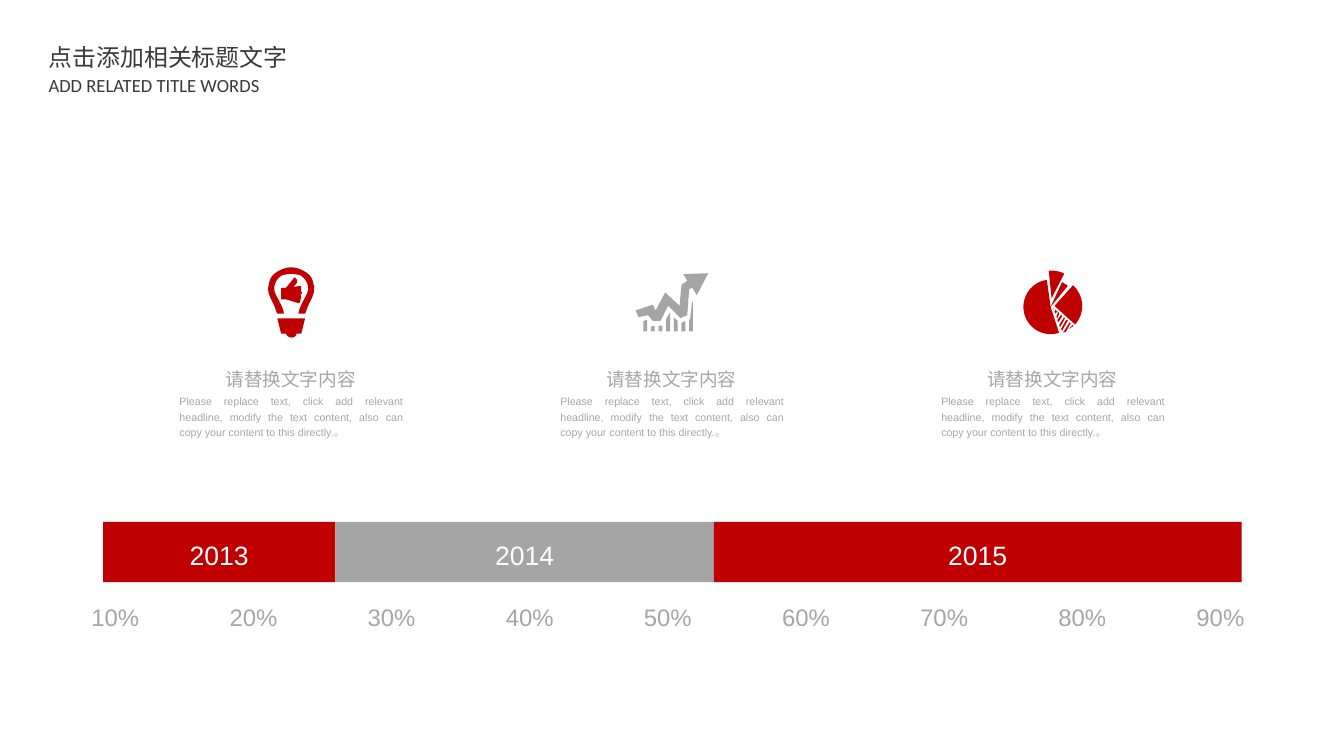
import math
from dataclasses import dataclass

import lxml.etree
import pptx
import pptx.dml.color
import pptx.enum.shapes
import pptx.enum.text
import pptx.oxml.ns
import pptx.util

Cm = pptx.util.Cm
Align = pptx.enum.text.PP_ALIGN
Point = tuple[float, float]
Outline = list[Point]

COLORS = {"red": "C00000", "grey": "A5A5A5", "text": "A6A6A6", "title": "3B3838", "white": "FFFFFF"}
CJK_FONT = "Noto Sans CJK SC"
COLUMN_STEP = 10.12
HEADING = "请替换文字内容"
BODY = ("Please replace text, click add relevant headline, modify the text content, "
        "also can copy your content to this directly.。")


@dataclass
class Label:
    text: str
    left: float
    top: float
    width: float
    height: float
    size: float
    color: str = "text"
    font: str = "Arial"
    align: Align = Align.JUSTIFY
    spacing: float = 1.2
    wrap: bool = False


@dataclass
class YearBar:
    year: str
    width: float
    color: str


@dataclass
class Icon:
    left: float
    top: float
    color: str
    outlines: list[Outline]


def bezier(start: Point, *segments: tuple[Point, Point, Point], steps: int = 8) -> Outline:
    """Return points along a chain of cubic curves."""
    points = [start]
    for first, second, end in segments:
        origin = points[-1]
        for step in range(1, steps + 1):
            t = step / steps
            weights = ((1 - t) ** 3, 3 * t * (1 - t) ** 2, 3 * t * t * (1 - t), t ** 3)
            controls = (origin, first, second, end)
            points.append((sum(w * p[0] for w, p in zip(weights, controls)),
                           sum(w * p[1] for w, p in zip(weights, controls))))
    return points


def sector(apex: Point, radius: float, start: float, end: float, steps: int = 36) -> Outline:
    """Return a pie slice, with angles in degrees clockwise from the right."""
    angles = [math.radians(start + (end - start) * i / steps) for i in range(steps + 1)]
    return [apex] + [(apex[0] + radius * math.cos(a), apex[1] + radius * math.sin(a)) for a in angles]


def mirror(points: Outline, axis: float) -> Outline:
    return [(2 * axis - x, y) for x, y in points]


def bulb_outlines() -> list[Outline]:
    axis = 25.5
    outer = bezier((11, 49), ((9, 45), (8, 40), (6, 37)), ((3, 31), (0, 25), (2, 19)),
                   ((3, 11), (7, 7), (13, 4)), ((17, 2), (21, 0.5), (axis, 0.5)))
    inner = bezier((18, 49), ((17, 43), (14, 38), (12, 34)), ((9, 29), (7, 24), (8, 20)),
                   ((9, 15), (12, 11), (16, 9)), ((19, 8), (22, 7.5), (axis, 7.5)))
    glass = outer + mirror(outer, axis)[::-1] + mirror(inner, axis) + inner[::-1]
    base = [(15, 70), (11, 54), (40, 54), (36, 70)]
    base += bezier((31, 70), ((31, 72), (29, 74), (26, 74)), ((23, 74), (21, 72), (20, 70)))
    thumb = [(36, 20), (36, 26), (37, 27), (36, 29), (35, 29), (36, 31), (36, 33), (35, 34),
             (35, 37), (33, 38), (20, 34), (15, 34), (15, 22), (20, 22), (29, 11)]
    thumb += bezier((29, 11), ((35, 15), (30, 19), (27, 21)))
    return [glass, base, thumb]


def trend_outlines() -> list[Outline]:
    arrow = [(76, 0), (64, 23), (59, 15), (56, 17), (54, 44), (47, 47), (34, 34), (26, 50),
             (18, 50), (13, 44), (3, 46), (0, 39), (18, 33), (21, 39), (31, 20), (35, 24),
             (46, 34), (48, 12), (54, 8), (50, 1)]
    bar_tops = [(50, 49), (56, 55), (55, 55), (48, 41), (46, 50), (52, 50)]
    bars = []
    for index, (left_top, right_top) in enumerate(bar_tops):
        left = 8 + 8 * index
        bars.append([(left, 61), (left, left_top), (left + 4, right_top), (left + 4, 61)])
    last_bar = [(56, 61), (56, 49), (57, 48), (59, 30), (60, 30), (60, 61)]
    return [arrow, *bars, last_bar]


def pie_outlines() -> list[Outline]:
    center = (29, 38)
    stripes = [
        [(53, 58), (48, 61), (52, 57)],
        [(45, 64), (50, 55), (49, 54), (42, 65)],
        [(41, 63), (47, 52), (45, 52), (40, 61)],
        [(39, 59), (44, 50), (43, 49), (38, 57)],
        [(37, 54), (41, 48), (40, 46), (36, 52)],
        [(36, 50), (38, 45), (37, 43), (35, 48)],
        [(34, 45), (36, 43), (34, 41), (33, 43)],
        [(32, 41), (32, 39), (33, 40)],
    ]
    return [sector(center, 28.5, 72, 262), [center, (41, 12), (47, 16)],
            sector((33, 37), 29, -48, 42), sector((30, 29), 29, -96, -63), *stripes]


def write_text(shape, label: Label) -> None:
    paragraph = shape.text_frame.paragraphs[0]
    run = paragraph.add_run()
    run.text = label.text
    run.font.color.rgb = pptx.dml.color.RGBColor.from_string(COLORS[label.color])
    formats = {
        paragraph: {"alignment": label.align, "line_spacing": label.spacing},
        run.font: {"size": pptx.util.Pt(label.size), "name": label.font},
    }
    for target, values in formats.items():
        for name, value in values.items():
            setattr(target, name, value)
    east_asian = lxml.etree.SubElement(run.font._element, pptx.oxml.ns.qn("a:ea"))
    east_asian.set("typeface", CJK_FONT)


def add_label(slide, label: Label) -> None:
    shape = slide.shapes.add_textbox(Cm(label.left), Cm(label.top), Cm(label.width), Cm(label.height))
    frame_format = {"word_wrap": label.wrap,
                    "auto_size": pptx.enum.text.MSO_AUTO_SIZE.SHAPE_TO_FIT_TEXT}
    for name, value in frame_format.items():
        setattr(shape.text_frame, name, value)
    write_text(shape, label)


def paint(shape, color: str) -> None:
    shape.shadow.inherit = False
    shape.fill.solid()
    shape.fill.fore_color.rgb = pptx.dml.color.RGBColor.from_string(COLORS[color])
    shape.line.fill.background()


def add_year_bar(slide, bar: YearBar, left: float) -> None:
    top, height = 13.87, 1.6
    shape = slide.shapes.add_shape(pptx.enum.shapes.MSO_SHAPE.RECTANGLE,
                                   Cm(left), Cm(top), Cm(bar.width), Cm(height))
    paint(shape, bar.color)
    shape.text_frame.vertical_anchor = pptx.enum.text.MSO_ANCHOR.MIDDLE
    write_text(shape, Label(bar.year, left, top, bar.width, height, 20, "white", align=Align.CENTER))


def add_icon(slide, icon: Icon) -> None:
    """Draw outlines given in hundredths of an inch, on a ten times finer grid."""
    fine = [[(10 * x, 10 * y) for x, y in outline] for outline in icon.outlines]
    builder = slide.shapes.build_freeform(*fine[0][0], scale=914.4)
    for index, outline in enumerate(fine):
        if index:
            builder.move_to(*outline[0])
        builder.add_line_segments(outline[1:], close=True)
    paint(builder.convert_to_shape(Cm(icon.left), Cm(icon.top)), icon.color)


def main() -> None:
    presentation = pptx.Presentation()
    presentation.slide_width, presentation.slide_height = Cm(35.71), Cm(20.09)
    slide = presentation.slides.add_slide(presentation.slide_layouts[6])

    titles = [
        Label("点击添加相关标题文字", 1.04, 1.02, 6.96, 1.04, 18, "title", CJK_FONT, Align.LEFT, 1.0),
        Label("ADD RELATED TITLE WORDS", 1.04, 1.83, 6.2, 0.86, 14, "title", "Calibri", Align.LEFT, 1.0),
    ]
    percents = [Label(f"{10 * (i + 1)}%", 2.18 + 3.67 * i, 15.75, 1.8, 1.09, 18) for i in range(9)]
    icons = [Icon(7.09, 7.09, "red", bulb_outlines()),
             Icon(16.89, 7.26, "grey", trend_outlines()),
             Icon(27.18, 7.19, "red", pie_outlines())]
    columns = []
    for index, icon in enumerate(icons):
        offset = COLUMN_STEP * index
        add_icon(slide, icon)
        columns += [Label(HEADING, 5.74 + offset, 9.53, 4.01, 0.91, 14),
                    Label(BODY, 4.52 + offset, 10.31, 6.45, 1.5, 8, wrap=True)]
    for label in titles + percents + columns:
        add_label(slide, label)

    left = 2.74
    for bar in (YearBar("2013", 6.17, "red"), YearBar("2014", 10.06, "grey"), YearBar("2015", 14.02, "red")):
        add_year_bar(slide, bar, left)
        left += bar.width

    presentation.save("out.pptx")


if __name__ == "__main__":
    main()
